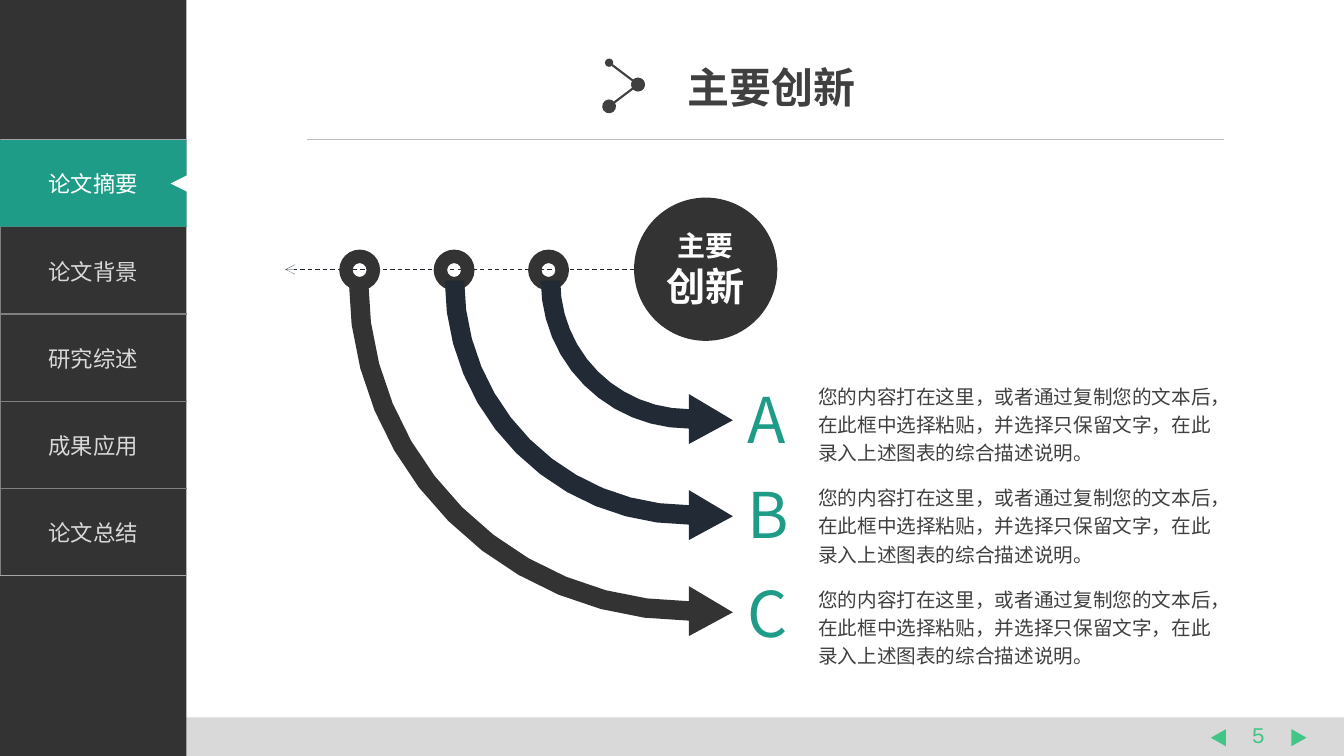
from math import cos, sin, pi
from lxml.etree import SubElement as Sub
from pptx import Presentation
from pptx.dml.color import RGBColor as Rgb
from pptx.enum.dml import MSO_LINE as Dash
from pptx.enum.shapes import MSO_CONNECTOR as Link, MSO_SHAPE as Kind
from pptx.enum.text import MSO_ANCHOR as Anchor, MSO_AUTO_SIZE as Fit, PP_ALIGN as Align
from pptx.oxml.ns import qn
from pptx.util import Cm, Pt

DARK, NAVY, TEAL, GREEN = "333333", "222A35", "1E9C87", "42C687"
GREY, WHITE, INK = "D9D9D9", "FFFFFF", "404040"
SANS = "Noto Sans CJK SC"
HAIR = 0.01


def paint(item, color):
    """Colour a font, a line or a shape; a shape also loses line and shadow."""
    if hasattr(item, "shadow"):
        item.shadow.inherit = False
        item.line.fill.background()
    item.fill.solid()
    item.fill.fore_color.rgb = Rgb.from_string(color)


def write(frame, lines, color, align=Align.CENTER, face=SANS, bold=False, space=None):
    """Fill a text frame with (text, size) paragraphs."""
    frame.vertical_anchor = Anchor.MIDDLE
    for n, (text, size) in enumerate(lines):
        para = frame.add_paragraph() if n else frame.paragraphs[0]
        para.text = text
        para.alignment = align
        if space:
            para.line_spacing = space
        font = para.font
        font.name, font.size, font.bold = face, Pt(size), bold
        paint(font, color)
        props = para._p.get_or_add_pPr().get_or_add_defRPr()
        Sub(props, qn("a:ea"), typeface=SANS)


deck = Presentation()
deck.slide_width, deck.slide_height = Cm(33.87), Cm(19.05)
slide = deck.slides.add_slide(deck.slide_layouts[5])
shapes = slide.shapes

# Footer and side bar
for x, y, w, h, color in [(0, 18.08, 33.87, 0.97, GREY), (0, 0, 4.7, 19.05, DARK)]:
    bar = shapes.add_shape(Kind.RECTANGLE, Cm(x), Cm(y), Cm(w), Cm(h))
    paint(bar, color)

page = shapes.add_textbox(Cm(31.1), Cm(18.04), Cm(1.22), Cm(0.94))
write(page.text_frame, [("5", 16)], GREEN, face="Courier New")

# Side menu
tabs = ["论文摘要", "论文背景", "研究综述", "成果应用", "论文总结"]
menu = shapes.add_table(len(tabs), 1, 0, Cm(3.51), Cm(4.7), Cm(2.2 * len(tabs))).table
menu.first_row = menu.horz_banding = False
for n, tab in enumerate(tabs):
    cell = menu.cell(n, 0)
    write(cell.text_frame, [(tab, 16)], GREY)
    cell.vertical_anchor = Anchor.MIDDLE
    props = cell._tc.get_or_add_tcPr()
    for side in "LRTB":
        edge = Sub(props, qn("a:ln" + side), w=str(Pt(1)))
        if side == "R":
            Sub(edge, qn("a:noFill"))
            continue
        outer = (side, n) in [("T", 0), ("B", len(tabs) - 1)]
        Sub(Sub(edge, qn("a:solidFill")), qn("a:srgbClr"), val="A6A6A6" if outer else "808080")
    cell.fill.background()

active = shapes.add_shape(Kind.RECTANGLE, 0, Cm(3.53), Cm(4.7), Cm(2.18))
paint(active, TEAL)
write(active.text_frame, [(tabs[0], 16)], WHITE)

# Menu pointer and page buttons
for x, y, w, h, turn, color in [
    (4.3, 4.42, 0.41, 0.41, 270, WHITE),
    (32.52, 18.4, 0.43, 0.38, 90, GREEN),
    (30.49, 18.4, 0.43, 0.38, 270, GREEN),
]:
    mark = shapes.add_shape(Kind.ISOSCELES_TRIANGLE, Cm(x), Cm(y), Cm(w), Cm(h))
    mark.rotation = turn
    paint(mark, color)

# Title rule, dashed axis and title icon
for x1, y1, x2, y2, color, width, ends in [
    (7.74, 3.52, 30.84, 3.52, "BFBFBF", 0.5, {}),
    (15.98, 6.79, 7.19, 6.79, NAVY, HAIR, {"tail": ("arrow", "med")}),
    (15.35, 1.58, 16.08, 2.13, INK, 1.5, {"head": ("oval", "med"), "tail": ("oval", "lg")}),
    (16.08, 2.13, 15.35, 2.68, INK, 1.5, {"head": ("oval", "lg"), "tail": ("oval", "lg")}),
]:
    rule = shapes.add_connector(Link.STRAIGHT, Cm(x1), Cm(y1), Cm(x2), Cm(y2))
    paint(rule.line, color)
    rule.line.width = Pt(width)
    if width == HAIR:
        rule.line.dash_style = Dash.DASH
    for end, (form, size) in ends.items():
        Sub(rule.line._get_or_add_ln(), qn(f"a:{end}End"), type=form, w=size, len=size)
    Sub(rule._element.spPr, qn("a:effectLst"))

title = shapes.title
title.left, title.top, title.width, title.height = Cm(17.07), Cm(1.42), Cm(4.78), Cm(1.55)
title.text_frame.auto_size = Fit.NONE
title.text_frame.word_wrap = False
write(title.text_frame, [("主要创新", 30)], INK, Align.LEFT, "Arial", True)

hub = shapes.add_shape(Kind.OVAL, Cm(15.98), Cm(4.98), Cm(3.61), Cm(3.61))
paint(hub, DARK)
write(hub.text_frame, [("主要", 20), ("创新", 28)], WHITE, bold=True)

# Rings, quarter-circle arrows, letters and notes
note = "您的内容打在这里，或者通过复制您的文本后，在此框中选择粘贴，并选择只保留文字，在此录入上述图表的综合描述说明。"
mid, top, steps = 17.36, 7.07, 12
turns = [pi / 2 * k / steps for k in range(steps + 1)]
for n, (letter, high, color) in enumerate([("A", 9.47, NAVY), ("B", 11.87, NAVY), ("C", 14.36, DARK)]):
    ring = shapes.add_shape(Kind.DONUT, Cm(13.31 - 2.38 * n), Cm(6.29), Cm(1.03), Cm(1.03))
    ring.adjustments[0] = 0.33
    paint(ring, DARK)

    far = 3.73 + 2.42 * n
    near = far - 0.49
    dots = [(mid - far * cos(t), top + far * sin(t)) for t in turns]
    dots += [(mid, top + far + 0.39), (mid + 1.11, top + far - 0.21), (mid, top + far - 0.87)]
    dots += [(mid - near * cos(t), top + near * sin(t)) for t in reversed(turns)]
    dots = [(Cm(x), Cm(y)) for x, y in dots]
    pen = shapes.build_freeform(*dots[0])
    pen.add_line_segments(dots[1:])
    paint(pen.convert_to_shape(), color)

    sign = shapes.add_textbox(Cm(18.64), Cm(high), Cm(1.55), Cm(2.13))
    body = shapes.add_textbox(Cm(20.42), Cm(9.47 + 2.56 * n), Cm(10.77), Cm(2.31))
    for box in (sign, body):
        frame = box.text_frame
        frame.margin_left = frame.margin_right = Cm(0.2)
        frame.margin_top = frame.margin_bottom = Cm(0.1)
    write(sign.text_frame, [(letter, 45)], TEAL, Align.LEFT)
    body.text_frame.word_wrap = True
    write(body.text_frame, [(note, 14)], INK, Align.LEFT, space=1.2)
    body.text_frame.vertical_anchor = Anchor.TOP

deck.save("out.pptx")
